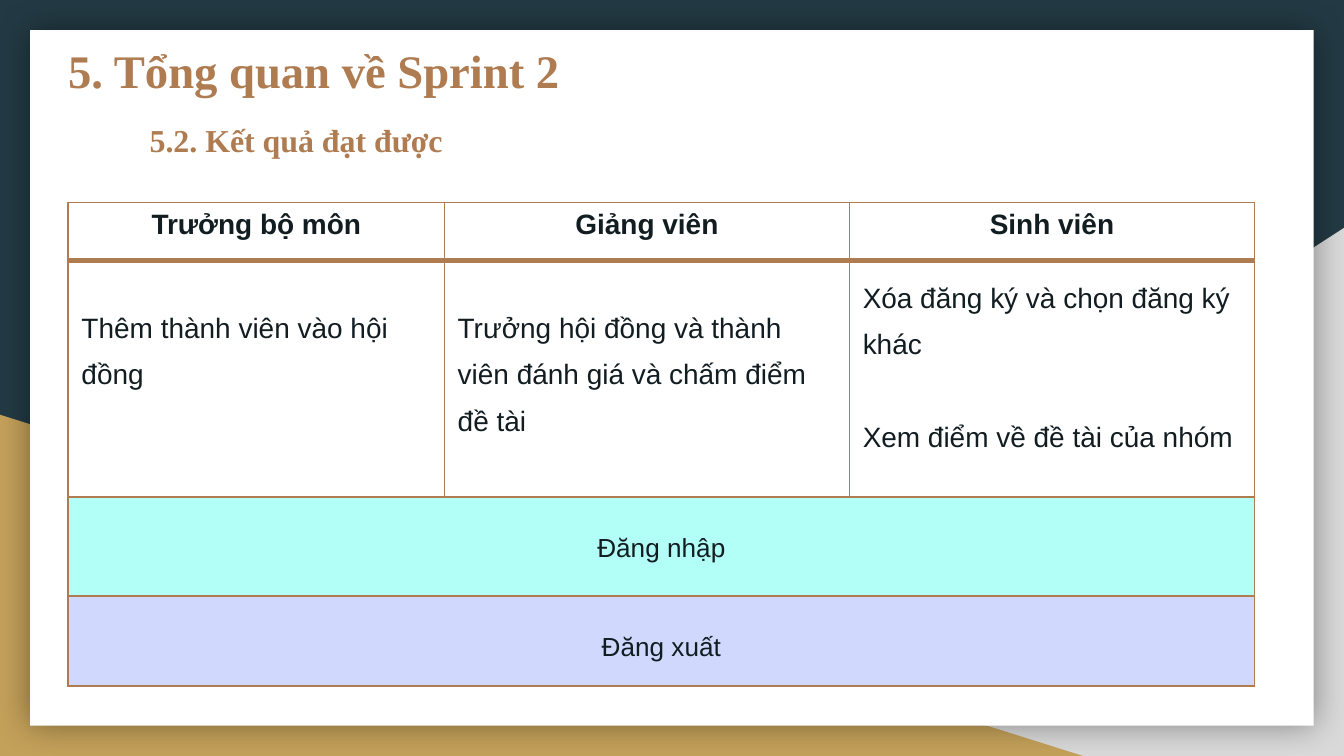
from lxml.etree import SubElement as Sub
from pptx import Presentation
from pptx.dml.color import RGBColor as Rgb
from pptx.enum.shapes import MSO_SHAPE as Shape
from pptx.enum.text import MSO_ANCHOR as Anchor, PP_ALIGN as Align
from pptx.oxml import parse_xml
from pptx.oxml.ns import nsdecls, qn
from pptx.util import Cm, Pt

COLORS = {
    "navy": "233A44", "gray": "D9D9D9", "gold": "C4A15A", "white": "FFFFFF",
    "brown": "AF7B51", "ink": "121D22", "mint": "B1FFF6", "lilac": "D0D8FD",
}
WIDTH, HEIGHT = 25.4, 14.29


def tint(name):
    return Rgb.from_string(COLORS[name])


def write(para, text, color, para_fmt, font_fmt):
    run = para.add_run()
    run.text = text
    run.font.color.rgb = tint(color)
    for target, values in ((para, para_fmt), (run.font, font_fmt)):
        for key, value in values.items():
            setattr(target, key, value)


def add_block(slide, kind, box, color):
    block = slide.shapes.add_shape(kind, *map(Cm, box))
    block.shadow.inherit = False
    block.fill.solid()
    block.fill.fore_color.rgb = tint(color)
    block.line.fill.background()
    return block


def add_glow(block):
    """Give the block a soft, centred dark shadow."""
    effects = block.element.spPr.find(qn("a:effectLst"))
    outer = Sub(effects, qn("a:outerShdw"), blurRad=str(Pt(18)), dist="0",
                dir="0", algn="ctr", rotWithShape="0")
    black = Sub(outer, qn("a:srgbClr"), val="000000")
    Sub(black, qn("a:alpha"), val="40000")


def add_backdrop(slide, box):
    left, top, width, height = box
    slide.background.fill.solid()
    slide.background.fill.fore_color.rgb = tint("navy")
    right, bottom = left + width, top + height
    for color, wide, tall, flip in (("gray", 15.45, 9.98, True),
                                    ("gold", 20.47, 6.45, False)):
        start = right - wide if flip else left
        wedge = add_block(slide, Shape.RIGHT_TRIANGLE,
                          (start, bottom - tall, wide, tall), color)
        if flip:
            wedge.element.spPr.find(qn("a:xfrm")).set("flipH", "1")
    edge = 0.57
    card = (left + edge, top + edge, width - 2 * edge, height - 2 * edge)
    add_glow(add_block(slide, Shape.RECTANGLE, card, "white"))


def add_heading(slide, box, text, size, anchor, spacing):
    frame = slide.shapes.add_textbox(*map(Cm, box)).text_frame
    frame.word_wrap = True
    frame.vertical_anchor = anchor
    for side in ("left", "right", "top", "bottom"):
        setattr(frame, f"margin_{side}", Cm(0.25))
    write(frame.paragraphs[0], text, "brown", {"line_spacing": spacing},
          {"name": "Times New Roman", "size": Pt(size), "bold": True})


def add_borders(cell, widths):
    """Draw left, right, top and bottom edges with widths in points."""
    props = cell._tc.get_or_add_tcPr()
    for spot, (side, width) in enumerate(zip("LRTB", widths)):
        props.insert(spot, parse_xml(
            f'<a:ln{side} {nsdecls("a")} w="{Pt(width)}"><a:solidFill>'
            f'<a:srgbClr val="{COLORS["brown"]}"/></a:solidFill></a:ln{side}>'))


def fill_cell(cell, texts, top, size, bold, align, spacing):
    cell.margin_left = cell.margin_right = Cm(0.25)
    cell.margin_top, cell.margin_bottom = Cm(top), Cm(0.13)
    cell.vertical_anchor = Anchor.TOP
    for spot, text in enumerate(texts):
        frame = cell.text_frame
        para = frame.add_paragraph() if spot else frame.paragraphs[0]
        gap = {"space_before": Pt(25)} if spot else {}
        write(para, text, "ink",
              {"alignment": align, "line_spacing": spacing, **gap},
              {"name": "Arial", "size": Pt(size), "bold": bold})


def add_results(slide, box):
    left, top, width, height = box
    roles = ("Trưởng bộ môn", "Giảng viên", "Sinh viên")
    tasks = (
        (0.7, ["Thêm thành viên vào hội đồng"]),
        (0.7, ["Trưởng hội đồng và thành viên đánh giá và chấm điểm đề tài"]),
        (0.13, ["Xóa đăng ký và chọn đăng ký khác",
                "Xem điểm về đề tài của nhóm"]),
    )
    shared = (("Đăng nhập", "mint"), ("Đăng xuất", "lilac"))

    table = slide.shapes.add_table(4, 3, *map(Cm, box)).table
    first = 7.11
    for col, wide in zip(table.columns, (first, *[(width - first) / 2] * 2)):
        col.width = Cm(wide)
    talls = (1.09, 4.47, 1.88)
    for row, tall in zip(table.rows, (*talls, height - sum(talls))):
        row.height = Cm(tall)

    fills = ("white", "white", *(color for _, color in shared))
    edges = ((1, 1, 1, 3), (1, 1, 3, 1), (1, 1, 1, 1), (1, 1, 1, 1))
    for row, color, widths in zip(table.rows, fills, edges):
        for cell in row.cells:
            cell.fill.solid()
            cell.fill.fore_color.rgb = tint(color)
            add_borders(cell, widths)

    for col, (role, (inset, lines)) in enumerate(zip(roles, tasks)):
        fill_cell(table.cell(0, col), [role], 0.13, 15, True, Align.CENTER, 1.0)
        fill_cell(table.cell(1, col), lines, inset, 15, False, Align.LEFT, 1.5)
    for row, (text, _) in enumerate(shared, 2):
        table.cell(row, 0).merge(table.cell(row, 2))
        fill_cell(table.cell(row, 0), [text], 0.7, 14, False, Align.CENTER, 1.0)


def main():
    deck = Presentation()
    deck.slide_width, deck.slide_height = Cm(WIDTH), Cm(HEIGHT)
    slide = deck.slides.add_slide(deck.slide_layouts[6])
    add_backdrop(slide, (0, 0, WIDTH, HEIGHT))
    add_heading(slide, (1.04, 0.48, 12.22, 1.68), "5. Tổng quan về Sprint 2",
                25, Anchor.MIDDLE, 1.0)
    add_heading(slide, (2.58, 2.11, 6.48, 1.22), "5.2. Kết quả đạt được",
                17.1, Anchor.TOP, 0.9)
    add_results(slide, (1.29, 3.83, 22.42, 9.14))
    deck.save("out.pptx")


if __name__ == "__main__":
    main()
